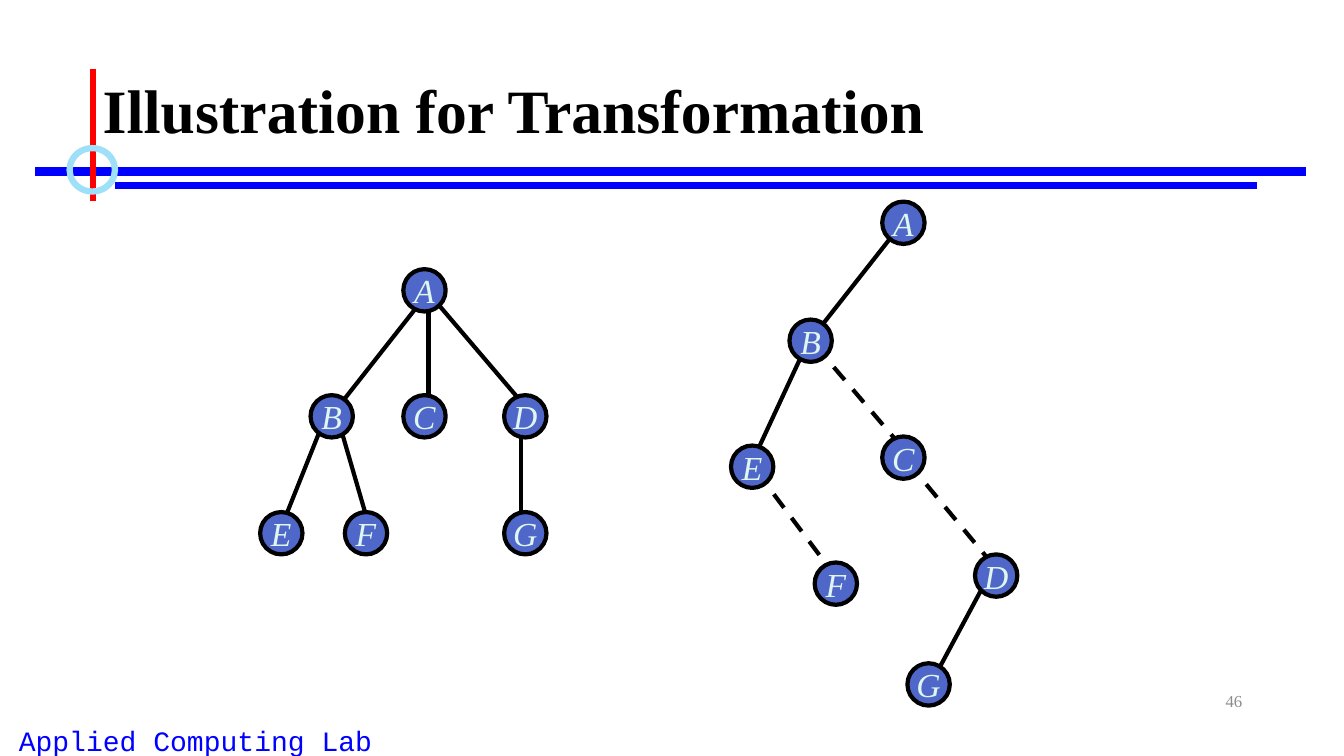
"""Builds a slide that turns a general tree into a binary tree."""
from pptx import Presentation, util as u
from pptx.dml.color import RGBColor
from pptx.enum import dml, shapes, text
from pptx.oxml.ns import qn
from lxml import etree

PX = 9144
HUE = {"blue": "0000FF", "red": "FF0000", "ring": "9EE0F8", "ink": "000000",
       "node": "4E67C8", "label": "DFF5EF", "gray": "8C8C8C"}
SERIF = "Times New Roman"
SIZE = 42

deck = Presentation()
deck.slide_width, deck.slide_height = 1333 * PX, 750 * PX
slide = deck.slides.add_slide(deck.slide_layouts[6])


def rule(home, ends, hue, width, dash=False):
    line = home.add_connector(shapes.MSO_CONNECTOR.STRAIGHT, *[n * PX for n in ends])
    line.line.color.rgb = RGBColor.from_string(HUE[hue])
    line.line.width = u.Pt(width)
    if dash:
        line.line.dash_style = dml.MSO_LINE.DASH
    etree.SubElement(line._element.spPr, qn("a:effectLst"))


def write(frame, words, size, hue, align, face=SERIF):
    frame.vertical_anchor = text.MSO_ANCHOR.MIDDLE
    par = frame.paragraphs[0]
    par.text = words
    par.alignment = align
    par.font.size = u.Pt(size)
    par.font.name = face
    par.font.color.rgb = RGBColor.from_string(HUE[hue])
    return par


for ends, hue, width in [((35, 170, 1295, 170), "blue", 6),
                         ((114, 184, 1247, 184), "blue", 4.5),
                         ((92, 68, 92, 199), "red", 4.5)]:
    rule(slide.shapes, ends, hue, width)

ring = slide.shapes.add_shape(shapes.MSO_SHAPE.OVAL, 69 * PX, 147 * PX, 45 * PX, 43 * PX)
ring.shadow.inherit = False
ring.fill.background()
ring.line.color.rgb = RGBColor.from_string(HUE["ring"])
ring.line.width = u.Pt(4.5)

LEFT, MID, RIGHT = text.PP_ALIGN.LEFT, text.PP_ALIGN.CENTER, text.PP_ALIGN.RIGHT
for words, box, size, hue, align, face in [
        ("Applied Computing Lab", (-58, 713, 504, 43), 20, "blue", MID, "Courier New"),
        ("46", (942, 675, 300, 40), 12, "gray", RIGHT, SERIF),
        ("Illustration for Transformation", (92, 40, 1150, 145), 44, "ink", LEFT, SERIF)]:
    frame = slide.shapes.add_textbox(*[n * PX for n in box]).text_frame
    frame.word_wrap = True
    par = write(frame, words, size, hue, align, face)
par.font.bold = True
par.line_spacing = 0.9

tree = {
    "solid": [(417, 300, 325, 417), (425, 300, 425, 417), (433, 300, 525, 408),
              (517, 408, 517, 525), (325, 408, 275, 533), (333, 408, 367, 525)],
    "dashed": [],
    "nodes": {"A": (400, 267), "D": (500, 392), "C": (400, 392), "B": (308, 392),
              "E": (258, 508), "F": (342, 508), "G": (500, 508)}}
binary = {
    "solid": [(892, 225, 800, 342), (983, 567, 925, 675), (800, 342, 742, 467)],
    "dashed": [(900, 458, 983, 558), (808, 342, 900, 450), (750, 467, 825, 567)],
    "nodes": {"A": (875, 200), "D": (967, 550), "C": (875, 433), "B": (783, 317),
              "E": (725, 442), "F": (808, 558), "G": (900, 658)}}

for graph in (tree, binary):
    home = slide.shapes.add_group_shape().shapes if graph is tree else slide.shapes
    for kind in ("solid", "dashed"):
        for ends in graph[kind]:
            rule(home, ends, "ink", 3, kind == "dashed")
    for name, (x, y) in graph["nodes"].items():
        node = home.add_shape(shapes.MSO_SHAPE.OVAL, x * PX, y * PX, SIZE * PX, SIZE * PX)
        node.shadow.inherit = False
        node.fill.solid()
        node.fill.fore_color.rgb = RGBColor.from_string(HUE["node"])
        node.line.color.rgb = RGBColor.from_string(HUE["ink"])
        node.line.width = u.Pt(3)
        node.text_frame.word_wrap = False
        write(node.text_frame, name, 24, "label", MID).font.italic = True

deck.save("out.pptx")
